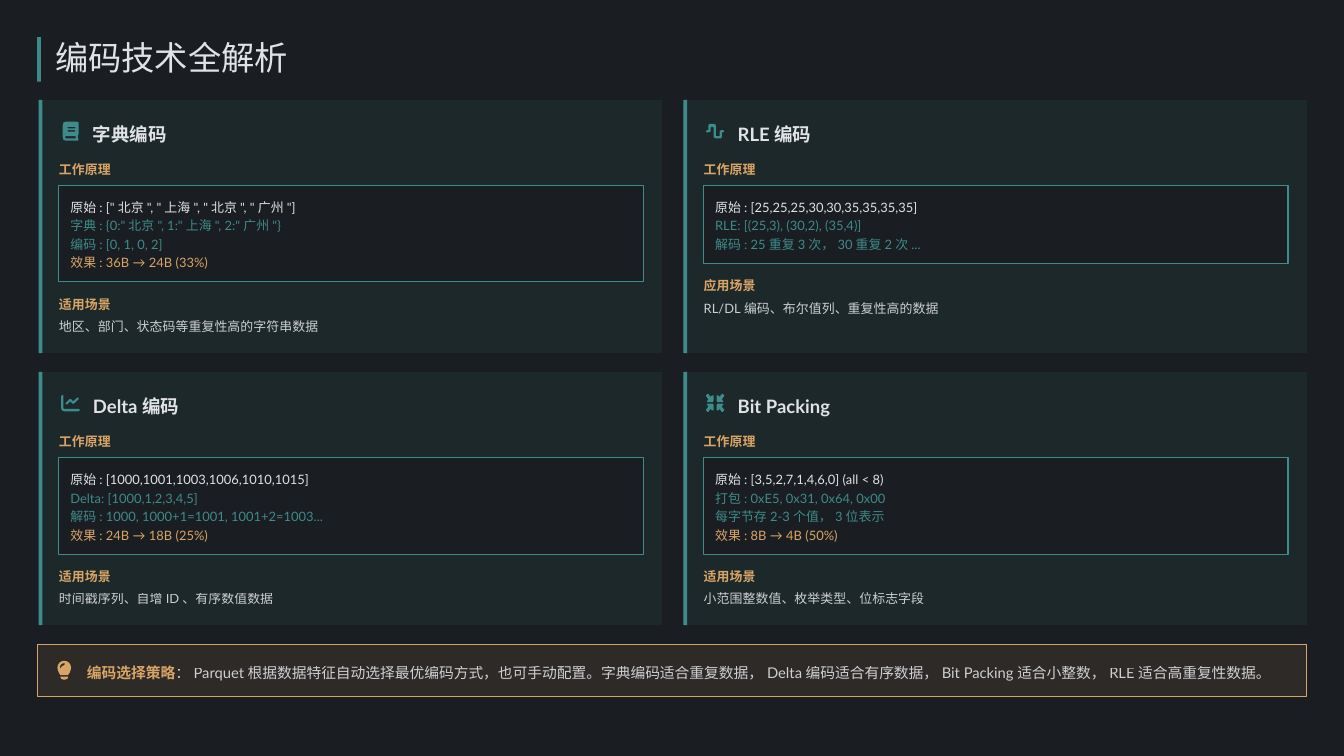
from pptx import Presentation
from pptx.dml.color import RGBColor
from pptx.enum.shapes import MSO_SHAPE as SHAPE
from pptx.enum.text import MSO_ANCHOR as ANCHOR, MSO_AUTO_SIZE as AUTO, PP_ALIGN as ALIGN
from pptx.oxml.ns import qn
from pptx.util import Inches, Pt
from lxml.etree import SubElement

COLORS = {"night": "1A1D21", "teal": "3D8B8B", "ink": "E0E2E6", "amber": "D9A566"}
LATIN, CJK = "Lato", "Noto Sans CJK SC"
TITLE = "编码技术全解析"
PRINCIPLE = "工作原理"
LINE_COLORS = ["ink", "teal", "teal", "amber"]

CARDS = [
    {"name": "字典编码", "icon": "book", "scene": "适用场景",
     "use": "地区、部门、状态码等重复性高的字符串数据",
     "lines": ['原始: ["北京", "上海", "北京", "广州"]',
               '字典: {0:"北京", 1:"上海", 2:"广州"}',
               "编码: [0, 1, 0, 2]",
               "效果: 36B → 24B (33%)"]},
    {"name": "RLE编码", "icon": "wave", "scene": "应用场景",
     "use": "RL/DL编码、布尔值列、重复性高的数据",
     "lines": ["原始: [25,25,25,30,30,35,35,35,35]",
               "RLE: [(25,3), (30,2), (35,4)]",
               "解码: 25重复3次，30重复2次..."]},
    {"name": "Delta编码", "icon": "trend", "scene": "适用场景",
     "use": "时间戳序列、自增ID、有序数值数据",
     "lines": ["原始: [1000,1001,1003,1006,1010,1015]",
               "Delta: [1000,1,2,3,4,5]",
               "解码: 1000, 1000+1=1001, 1001+2=1003...",
               "效果: 24B → 18B (25%)"]},
    {"name": "Bit Packing", "icon": "compress", "scene": "适用场景",
     "use": "小范围整数值、枚举类型、位标志字段",
     "lines": ["原始: [3,5,2,7,1,4,6,0] (all < 8)",
               "打包: 0xE5, 0x31, 0x64, 0x00",
               "每字节存2-3个值，3位表示",
               "效果: 8B → 4B (50%)"]},
]
STRATEGY = "编码选择策略"
ADVICE = ("：Parquet根据数据特征自动选择最优编码方式，也可手动配置。"
          "字典编码适合重复数据，Delta编码适合有序数据，"
          "Bit Packing适合小整数，RLE适合高重复性数据。")

ARROW = [(2, 11), (1, 10), (2, 9), (3, 7), (0, 3), (0, 2), (2, 0), (3, 0),
         (6, 4), (8, 2), (10, 2), (10, 9), (9, 11)]
BULB_SIDE = [(9, 0), (12.4, 0.7), (15.4, 2.6), (17.3, 5.6), (18, 9),
             (17.6, 12), (16, 16), (14, 19)]
ICONS = {
    "book": [
        [(20, 25), (6, 25), (3, 24), (2, 20), (2, 5), (3, 1), (6, 0), (21, 0), (23, 1),
         (23, 16), (22, 19), (22, 22), (23, 23), (22, 25)],
        [(6, 19), (5, 20), (6, 22), (19, 22), (19, 19)],
        [(9, 7), (18, 7), (19, 8), (18, 9), (9, 9), (8, 8)],
        [(9, 11), (18, 11), (19, 12), (18, 13), (9, 13), (8, 12)]],
    "wave": [
        [(3, 5), (4, 3), (12, 3), (13, 5), (13, 19), (18, 19), (18, 13), (20, 11),
         (23, 11), (24, 13), (23, 14), (21, 14), (21, 20), (20, 22), (12, 22), (10, 20),
         (10, 7), (6, 7), (6, 13), (4, 14), (1, 14), (0, 13), (1, 11), (3, 11)]],
    "trend": [
        [(3, 3), (2, 1), (0, 3), (0, 19), (1, 22), (4, 23), (23, 23), (25, 21),
         (23, 20), (4, 20), (3, 19)],
        [(23, 7), (23, 5), (21, 5), (16, 10), (13, 7), (11, 7), (6, 12), (6, 14),
         (8, 14), (12, 10), (15, 13), (17, 13)]],
    "compress": [
        [(24 - x if right else x, 24 - y if low else y) for x, y in ARROW]
        for right in (False, True) for low in (False, True)],
    "bulb": [
        BULB_SIDE + [(18 - x, y) for x, y in reversed(BULB_SIDE[1:])],
        [(4, 21), (14, 21), (14, 22), (13, 24), (10, 25), (8, 25), (5, 24), (4, 22)],
        [(9, 6), (6, 7), (5, 9), (4, 10), (3, 9), (4, 6), (6, 4), (9, 3), (10, 4)]],
}


def paint(fill, color, alpha=100):
    fill.solid()
    fill.fore_color.rgb = RGBColor.from_string(COLORS[color])
    if alpha < 100:
        hue = fill._xPr.find(qn("a:solidFill"))[0]
        SubElement(hue, qn("a:alpha")).set("val", str(alpha * 1000))


def add_panel(x, y, width, height, color, alpha=100, border=None):
    panel = slide.shapes.add_shape(SHAPE.RECTANGLE, *map(Inches, (x, y, width, height)))
    panel.shadow.inherit = False
    paint(panel.fill, color, alpha)
    if border:
        paint(panel.line.fill, border)
        panel.line.width = Pt(1)
    else:
        panel.line.fill.background()


def add_icon(name, x, y, color):
    outlines = [[(Inches(x + px / 100), Inches(y + py / 100)) for px, py in outline]
                for outline in ICONS[name]]
    builder = slide.shapes.build_freeform(*outlines[0][0])
    for number, outline in enumerate(outlines):
        if number:
            builder.move_to(*outline[0])
        builder.add_line_segments(outline[1:], close=True)
    icon = builder.convert_to_shape()
    icon.shadow.inherit = False
    paint(icon.fill, color)
    icon.line.fill.background()


def write(box, runs, size, spacing=1.2, latin=LATIN):
    frame = box.text_frame
    frame.word_wrap = True
    frame.auto_size = AUTO.NONE
    frame.vertical_anchor = ANCHOR.MIDDLE
    frame.margin_left = frame.margin_right = frame.margin_top = frame.margin_bottom = 0
    paragraph = frame.paragraphs[0]
    paragraph.alignment = ALIGN.LEFT
    paragraph.line_spacing = spacing
    for words, color, bold, alpha in runs:
        run = paragraph.add_run()
        run.text = words
        run.font.size = Pt(size)
        run.font.bold = bold
        paint(run.font.fill, color, alpha)
        run.font.name = latin
        SubElement(run.font._element, qn("a:ea")).set("typeface", CJK)


def add_text(x, y, width, height, words, color, size=12.3, bold=False, alpha=100):
    box = slide.shapes.add_textbox(*map(Inches, (x, y, width, height)))
    write(box, [(words, color, bold, alpha)], size)


def add_card(card, x, y):
    add_panel(x, y, 8.25, 3.35, "teal", 10)
    add_panel(x, y, 0.05, 3.35, "teal")
    add_icon(card["icon"], x + 0.3, y + 0.29, "teal")
    add_text(x + 0.72, y + 0.25, 1.6, 0.34, card["name"], "ink", 17.6, True)
    add_text(x + 0.27, y + 0.78, 7.83, 0.24, PRINCIPLE, "amber", bold=True)
    box_height = 0.3 + LINE_STEP * len(card["lines"])
    add_panel(x + 0.27, y + 1.13, 7.73, box_height, "night", border="teal")
    for row, (line, color) in enumerate(zip(card["lines"], LINE_COLORS)):
        add_text(x + 0.42, y + 1.28 + row * LINE_STEP, 7.51, 0.24, line, color)
    scene_y = y + 1.13 + box_height + 0.15
    add_text(x + 0.27, scene_y, 7.83, 0.24, card["scene"], "amber", bold=True)
    add_text(x + 0.27, scene_y + 0.3, 7.83, 0.24, card["use"], "ink", alpha=90)


LINE_STEP = 0.245
deck = Presentation()
deck.slide_width, deck.slide_height = Inches(17.78), Inches(10)
slide = deck.slides.add_slide(deck.slide_layouts[5])
paint(slide.background.fill, "night")

add_panel(0.49, 0.49, 0.05, 0.59, "teal")
heading = slide.shapes.title
heading.left, heading.top, heading.width, heading.height = map(Inches, (0.73, 0.54, 3.3, 0.49))
write(heading, [(TITLE, "ink", False, 100)], 31.7, 0.9, CJK)

for index, card in enumerate(CARDS):
    row, column = divmod(index, 2)
    add_card(card, 0.51 + column * 8.53, 1.32 + row * 3.6)

add_panel(0.5, 8.52, 16.79, 0.7, "amber", 10, "amber")
add_icon("bulb", 0.76, 8.74, "amber")
advice_box = slide.shapes.add_textbox(*map(Inches, (1.15, 8.72, 16, 0.29)))
write(advice_box, [(STRATEGY, "amber", True, 100), (ADVICE, "ink", False, 90)], 14.1, 1.3)

deck.save("out.pptx")
